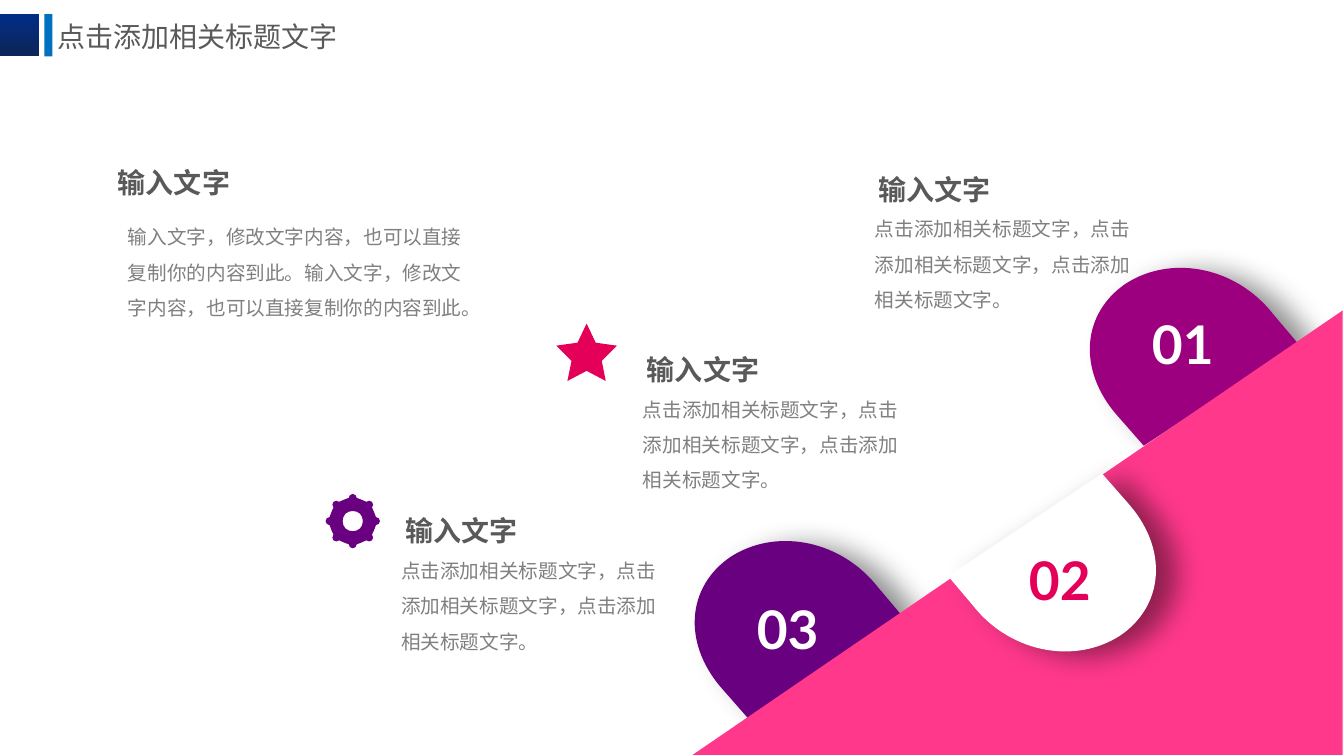
from math import cos, pi, sin

from lxml import etree
from pptx import Presentation
from pptx.dml.color import RGBColor
from pptx.enum.shapes import MSO_SHAPE
from pptx.enum.text import MSO_ANCHOR, MSO_AUTO_SIZE, PP_ALIGN
from pptx.oxml.ns import qn
from pptx.util import Pt

PX = 9144  # EMU per px, 100 px to the inch
WIDE_SCREEN = 12192000, 6858000  # EMU, 16:9
RECTANGLE = MSO_SHAPE.RECTANGLE
MIDDLE = MSO_ANCHOR.MIDDLE
GROW, FIXED = MSO_AUTO_SIZE.SHAPE_TO_FIT_TEXT, MSO_AUTO_SIZE.NONE
LEFT, JUSTIFY = PP_ALIGN.LEFT, PP_ALIGN.JUSTIFY

WHITE = RGBColor(0xFF, 0xFF, 0xFF)
NAVY = RGBColor(0x01, 0x2D, 0x86)
DARK_NAVY = RGBColor(0x0E, 0x25, 0x57)
BLUE = RGBColor(0x00, 0x70, 0xC0)
MAGENTA = RGBColor(0x9C, 0x00, 0x7F)
PURPLE = RGBColor(0x68, 0x00, 0x7F)
PINK = RGBColor(0xFF, 0x38, 0x8C)
CRIMSON = RGBColor(0xE4, 0x00, 0x59)
HEADING_GREY = RGBColor(0x59, 0x59, 0x59)
BODY_GREY = RGBColor(0x80, 0x80, 0x80)

CJK, ARIAL, LATO = "Noto Sans CJK SC", "Arial", "Lato"
TITLE = "点击添加相关标题文字"
HEADING = "输入文字"
ITEM_BODY = "点击添加相关标题文字，点击添加相关标题文字，点击添加相关标题文字。"
INTRO_BODY = "输入文字，修改文字内容，也可以直接复制你的内容到此。" * 2

# Curve outlines: a start, then two control points and an end per curve
DROP = [
    (0, 121),
    (0, 121), (32, 150), (33, 151),
    (75, 188), (137, 191), (177, 157),
    (216, 122), (213, 67), (170, 28),
    (170, 28), (138, 0), (138, 0),
]
STAR = [(49, 57), (30, 47), (11, 57), (15, 37), (0, 22),
        (21, 19), (30, 0), (39, 19), (60, 22), (45, 37)]
# One gear tooth pointing right, with the valley handles on both sides
TOOTH = [(22, -7), (23, -4), (25, -4), (27, -2), (27, 0),
         (27, 2), (25, 4), (23, 4), (22, 7)]
HOLE_QUARTER = [(10, 0), (10, -6), (6, -10)]


def paint(shape, colour):
    shape.fill.solid()
    shape.fill.fore_color.rgb = colour
    shape.line.fill.background()
    shape.shadow.inherit = False


def add_rectangle(page, box, colour):
    shape = page.shapes.add_shape(RECTANGLE, *(value * PX for value in box))
    paint(shape, colour)
    return shape


def add_outline(page, left, top, contours, colour, curved=False):
    scaled = [[(round((left + x) * PX), round((top + y) * PX)) for x, y in contour]
              for contour in contours]
    builder = page.shapes.build_freeform(*scaled[0][0])
    builder.add_line_segments(scaled[0][1:], close=not curved)
    for contour in scaled[1:]:
        builder.move_to(*contour[0])
        builder.add_line_segments(contour[1:], close=not curved)
    shape = builder.convert_to_shape()
    paint(shape, colour)
    if curved:
        bend(shape)
    return shape


def bend(shape):
    """Join every three line segments into one Bezier curve and close the contours."""
    segments = list(shape._element.iter(qn("a:lnTo")))
    for first, second, third in zip(segments[::3], segments[1::3], segments[2::3]):
        first.tag_curve = etree.Element(qn("a:cubicBezTo"))
        curve = first.tag_curve
        first.addprevious(curve)
        for segment in (first, second, third):
            curve.append(segment[0])
            segment.getparent().remove(segment)
        following = curve.getnext()
        while following is not None and following.tag == qn("a:close"):
            following = following.getnext()
        if following is None or following.tag == qn("a:moveTo"):
            curve.addnext(etree.Element(qn("a:close")))


def write(shape, text, size, font, colour, bold=False, spacing=None, align=LEFT):
    frame = shape.text_frame
    frame.word_wrap = True
    frame.auto_size = GROW
    para = frame.paragraphs[0]
    para.text = text
    para.alignment = align
    if spacing:
        para.line_spacing = spacing
    para.font.size = Pt(size)
    para.font.name = font
    para.font.bold = bold
    para.font.color.rgb = colour
    # East Asian characters take their own typeface
    etree.SubElement(para.font._element, qn("a:ea")).set("typeface", font)
    return frame


def add_text(page, box, text, *style, **layout):
    shape = page.shapes.add_textbox(*(value * PX for value in box))
    return write(shape, text, *style, **layout)


def add_soft_shadow(shape):
    effects = shape._element.spPr.find(qn("a:effectLst"))
    shadow = etree.SubElement(
        effects, qn("a:outerShdw"), blurRad=str(Pt(20)), dist=str(Pt(15)),
        dir=str(12 * 60000), algn="ctr", rotWithShape="0")
    colour = etree.SubElement(shadow, qn("a:srgbClr"), val="000000")
    etree.SubElement(colour, qn("a:alpha"), val="43000")


def add_title_bar(page, left, top):
    block = add_rectangle(page, (left, top, 40, 42), NAVY)
    block.fill.gradient()
    block.fill.gradient_angle = 270
    for stop, colour, position in zip(block.fill.gradient_stops, (NAVY, DARK_NAVY), (0, 1)):
        stop.color.rgb = colour
        stop.position = position
    add_rectangle(page, (left + 45, top, 8, 42), BLUE)
    frame = add_text(page, (left + 48, top - 8, 326, 61), TITLE, 20, CJK, HEADING_GREY)
    frame.auto_size = FIXED
    frame.vertical_anchor = MIDDLE
    frame.paragraphs[0].space_before = Pt(10.6)


def add_drop(page, left, top, colour, rotation):
    drop = add_outline(page, left, top, [DROP], colour, curved=True)
    drop.rotation = rotation
    add_soft_shadow(drop)


def add_slope(page, left, top, width, height):
    add_outline(page, left, top, [[(0, height), (width, height), (width, 0)]], PINK)


def turned(points, angle):
    return [(x * cos(angle) - y * sin(angle), x * sin(angle) + y * cos(angle))
            for x, y in points]


def add_gear(page, centre_x, centre_y):
    rim = [point for tooth in range(8) for point in turned(TOOTH, tooth * pi / 4)]
    hole = [point for quarter in range(4) for point in turned(HOLE_QUARTER, -quarter * pi / 2)]
    # The rim starts at the first tooth's base, after its leading handle
    contours = [rim[1:] + rim[:2], hole + hole[:1]]
    add_outline(page, centre_x, centre_y, contours, PURPLE, curved=True)


def add_item(page, left, top, body_top):
    add_text(page, (left, body_top, 275, 112), ITEM_BODY, 14, CJK, BODY_GREY, spacing=1.5)
    add_text(page, (left + 4, top, 252, 47), HEADING, 20, ARIAL, HEADING_GREY,
             bold=True, spacing=1.2)


def add_intro(page, left, top):
    add_text(page, (left, top + 49, 365, 116), INTRO_BODY, 14, CJK, BODY_GREY, spacing=1.5)
    frame = add_text(page, (left, top, 424, 40), HEADING, 20, ARIAL, HEADING_GREY,
                     bold=True, spacing=1.2, align=JUSTIFY)
    frame.margin_left = frame.margin_top = frame.margin_right = frame.margin_bottom = 0


def add_numbers(page):
    add_text(page, (1133, 304, 89, 74), "01", 38, LATO, WHITE, bold=True)
    plate = add_rectangle(page, (1011, 538, 89, 74), WHITE)
    write(plate, "02", 38, LATO, CRIMSON, bold=True)
    add_text(page, (741, 587, 89, 74), "03", 38, LATO, WHITE, bold=True)


def main():
    deck = Presentation()
    deck.slide_width, deck.slide_height = WIDE_SCREEN
    page = deck.slides.add_slide(deck.slide_layouts[6])
    add_title_bar(page, -1, 14)

    # Numbered drops along the slope
    add_drop(page, 1069, 256, MAGENTA, 187.6)
    add_drop(page, 677, 527, PURPLE, 187.6)
    add_slope(page, 687, 308, 645, 441)
    add_drop(page, 943, 465, WHITE, 7.6)

    # Icons
    add_outline(page, 552, 321, [STAR], CRIMSON)
    add_gear(page, 350, 517)

    # Texts
    for left, top, body_top in ((858, 160, 199), (628, 338, 378), (388, 498, 538)):
        add_item(page, left, top, body_top)
    add_numbers(page)
    add_intro(page, 117, 158)
    deck.save("out.pptx")


if __name__ == "__main__":
    main()
